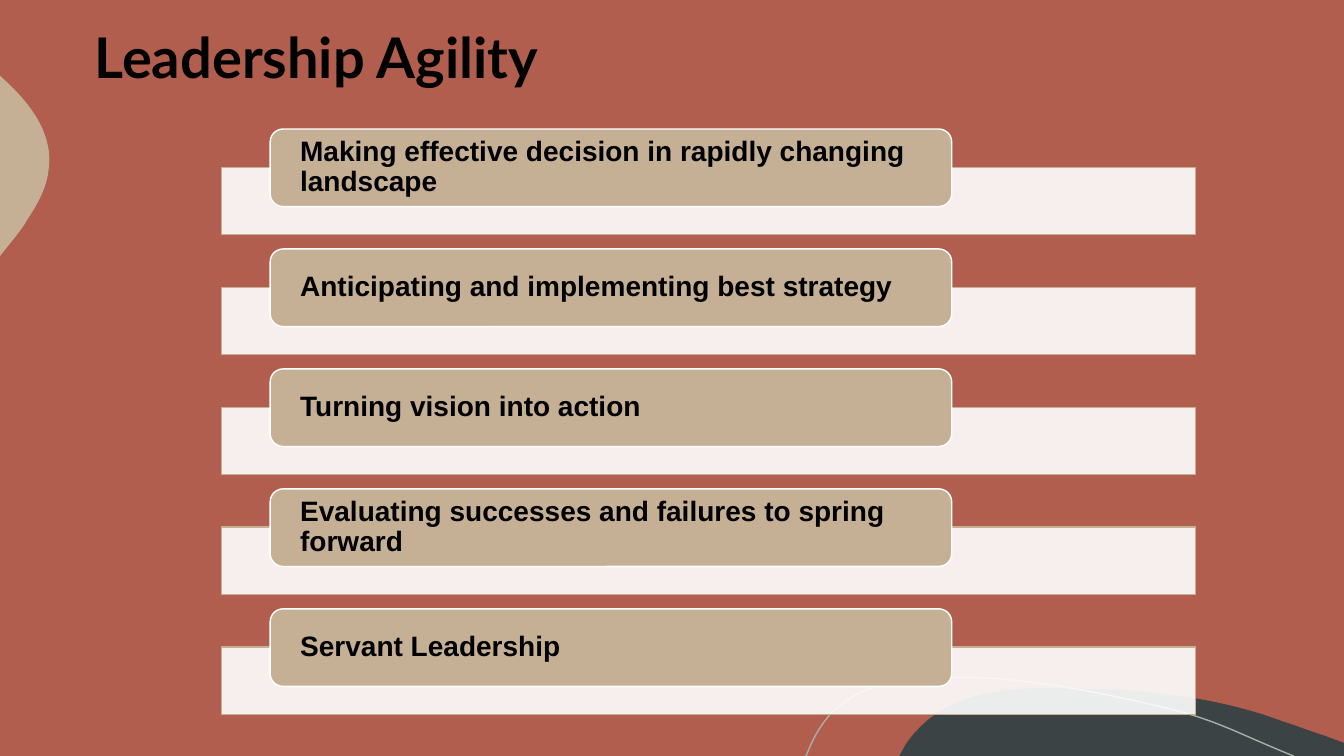
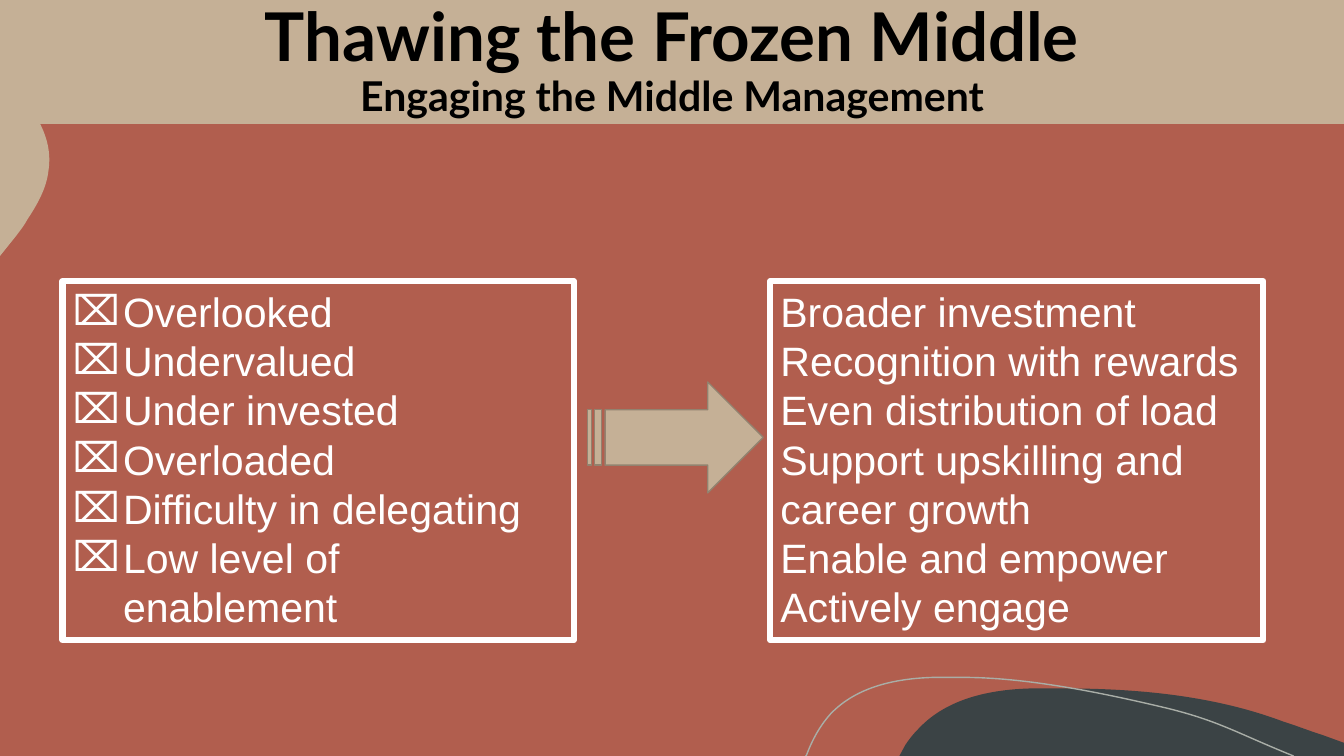
import pptx
import pptx.dml.color
import pptx.enum.shapes
import pptx.enum.text
import pptx.oxml.ns
import pptx.util
from lxml import etree

Inches = pptx.util.Inches
Pt = pptx.util.Pt
MSO_SHAPE = pptx.enum.shapes.MSO_SHAPE
PP_ALIGN = pptx.enum.text.PP_ALIGN
MSO_ANCHOR = pptx.enum.text.MSO_ANCHOR
MSO_AUTO_SIZE = pptx.enum.text.MSO_AUTO_SIZE

COLORS = {
    "clay": "B15E4E",
    "sand": "C5B096",
    "slate": "3B4345",
    "mist": "A9AEA7",
    "bronze": "92826F",
    "white": "FFFFFF",
    "black": "000000",
}

SLATE_HILL = [
    (10.54, 6.83),
    (11.28, 6.83, 12.04, 6.9, 12.73, 7.16),
    (12.86, 7.2, 12.98, 7.25, 13.11, 7.29),
    (13.33, 7.37), (13.33, 7.5), (8.92, 7.5), (8.98, 7.39),
    (9.02, 7.33, 9.06, 7.28, 9.11, 7.23),
    (9.39, 6.93, 9.82, 6.84, 10.23, 6.83),
    (10.33, 6.83, 10.43, 6.83, 10.54, 6.83),
]
SAND_BULGE = [
    (0, 0.75), (0.01, 0.76),
    (0.3, 1.02, 0.54, 1.33, 0.48, 1.7),
    (0.46, 1.87, 0.37, 2.03, 0.27, 2.18),
    (0.24, 2.24, 0.17, 2.33, 0.08, 2.44),
    (0, 2.54),
]
MIST_WAVE = [
    (7.99, 7.5), (8, 7.49),
    (8.06, 7.33, 8.14, 7.19, 8.24, 7.08),
    (8.5, 6.81, 8.89, 6.73, 9.26, 6.72),
    (9.55, 6.72),
    (10.22, 6.72, 11, 6.89, 11.55, 7.02),
    (12.09, 7.15, 12.26, 7.27, 12.83, 7.5),
]

AGILITY_SKILLS = [
    "Making effective decision in rapidly changing landscape",
    "Anticipating and implementing best strategy",
    "Turning vision into action",
    "Evaluating successes and failures to spring forward",
    "Servant Leadership",
]
PROBLEMS = [
    "Overlooked",
    "Undervalued",
    "Under invested",
    "Overloaded",
    "Difficulty in delegating",
    "Low level of enablement",
]
REMEDIES = [
    "Broader investment",
    "Recognition with rewards",
    "Even distribution of load",
    "Support upskilling and career growth",
    "Enable and empower",
    "Actively engage",
]


def rgb(name):
    """Return the named colour."""
    return pptx.dml.color.RGBColor.from_string(COLORS[name])


def place(s, left, top, width, height):
    """Move and size a shape, in inches."""
    s.left, s.top = Inches(left), Inches(top)
    s.width, s.height = Inches(width), Inches(height)


def paint(s, fill=None, line=None, weight=1):
    """Set the fill and outline of a shape."""
    if fill:
        s.fill.solid()
        s.fill.fore_color.rgb = rgb(fill)
    else:
        s.fill.background()
    if line:
        s.line.color.rgb = rgb(line)
        s.line.width = Pt(weight)
    else:
        s.line.fill.background()


def style_run(r, size, font, color, bold=False):
    """Set the font of a run."""
    r.font.size = Pt(size)
    r.font.name = font
    r.font.bold = bold
    r.font.color.rgb = rgb(color)


def add_child(parent, tag, **attributes):
    """Append a drawing element with attributes."""
    return etree.SubElement(parent, pptx.oxml.ns.qn(tag), attributes)


def bend(s, segments):
    """Merge the three lines of each curved segment into a Bezier curve."""
    lines = iter(s.element.spPr.xpath(".//a:lnTo"))
    for segment in segments[1:]:
        group = [next(lines) for _ in range(len(segment) // 2)]
        if len(group) == 3:
            curve = etree.Element(pptx.oxml.ns.qn("a:cubicBezTo"))
            group[0].addprevious(curve)
            for line in group:
                curve.append(line[0])
                line.getparent().remove(line)


def add_outline(slide, segments, fill=None, line=None):
    """Add a curved freeform, closed when it has a fill."""
    points = [(Inches(x), Inches(y)) for segment in segments
              for x, y in zip(segment[::2], segment[1::2])]
    builder = slide.shapes.build_freeform(*points[0])
    builder.add_line_segments(points[1:], close=fill is not None)
    s = builder.convert_to_shape()
    bend(s, segments)
    s.shadow.inherit = False
    paint(s, fill, line)
    return s


def decorate_master(prs, slide):
    """Give the master its background and curved corners."""
    master = prs.slide_master
    master.background.fill.solid()
    master.background.fill.fore_color.rgb = rgb("clay")
    outlines = [
        add_outline(slide, SLATE_HILL, fill="slate"),
        add_outline(slide, SAND_BULGE, fill="sand"),
        add_outline(slide, MIST_WAVE, line="mist"),
    ]
    for i, s in enumerate(outlines):
        s.element.nvSpPr.cNvPr.id = 20 + i
        master.shapes.element.insert(2 + i, s.element)


def add_shape(slide, kind, box, fill, line):
    """Add a flat preset shape."""
    s = slide.shapes.add_shape(kind, *map(Inches, box))
    s.shadow.inherit = False
    paint(s, fill, line)
    return s


def set_title(slide, lines, sizes, top, width):
    """Fill the title placeholder, one size for each line."""
    s = slide.shapes.title
    place(s, 0, top, width, 1.23)
    tf = s.text_frame
    tf.auto_size = MSO_AUTO_SIZE.NONE
    tf.vertical_anchor = MSO_ANCHOR.MIDDLE
    tf.margin_left = tf.margin_right = tf.margin_top = tf.margin_bottom = Inches(0.1)
    tf.text = "\v".join(lines)
    p = tf.paragraphs[0]
    p.alignment = PP_ALIGN.CENTER
    p.line_spacing = 0.9
    for r, size in zip(p.runs, sizes):
        style_run(r, size, "Lato", "black", bold=True)
    return s


def add_skill(slide, text, top):
    """Add a rounded label over a pale bar."""
    bar = add_shape(slide, MSO_SHAPE.RECTANGLE, (2.2, top + 0.38, 9.66, 0.67), "white", "sand")
    color = bar.element.spPr.xpath("./a:solidFill/a:srgbClr")[0]
    add_child(color, "a:alpha", val="90000")
    label = add_shape(slide, MSO_SHAPE.ROUNDED_RECTANGLE, (2.68, top, 6.76, 0.77), "sand", "white")
    tf = label.text_frame
    tf.word_wrap = True
    tf.vertical_anchor = MSO_ANCHOR.MIDDLE
    tf.margin_left = tf.margin_right = Inches(0.26)
    tf.margin_top = tf.margin_bottom = 0
    tf.text = text
    p = tf.paragraphs[0]
    p.alignment = PP_ALIGN.LEFT
    p.line_spacing = 0.9
    style_run(p.runs[0], 20, "Arial", "black", bold=True)


def fill_list(s, items, left, width, bullet=None):
    """Format a body placeholder as a framed list."""
    place(s, left, 2.79, width, 3.56)
    paint(s, line="white", weight=4.5)
    tf = s.text_frame
    tf.auto_size = MSO_AUTO_SIZE.NONE
    tf.vertical_anchor = MSO_ANCHOR.TOP
    tf.text = "\n".join(items)
    indent = Inches(0.5) if bullet else 0
    for p in tf.paragraphs:
        p.space_before = Pt(0)
        p.line_spacing = 1.0
        style_run(p.runs[0], 29.3, "Arial", "white")
        pPr = p._p.get_or_add_pPr()
        pPr.set("marL", str(indent))
        pPr.set("indent", str(-indent))
        if bullet:
            add_child(pPr, "a:buFont", typeface="Arial")
            add_child(pPr, "a:buChar", char=bullet)
        else:
            add_child(pPr, "a:buNone")


def build_agility(slide):
    """Build the slide of leadership skills."""
    set_title(slide, ["Leadership Agility"], [40], -0.02, 6.27)
    for i, text in enumerate(AGILITY_SKILLS):
        add_skill(slide, text, 1.28 + 1.19 * i)


def build_middle(slide):
    """Build the slide of problems and remedies."""
    title = set_title(slide, ["Thawing the Frozen Middle", "Engaging the Middle Management"],
                      [48, 29.3], 0, 13.33)
    paint(title, "sand")
    fill_list(slide.placeholders[1], PROBLEMS, 0.62, 5.07, bullet="⌧")
    fill_list(slide.placeholders[2], REMEDIES, 7.64, 4.89)
    add_shape(slide, MSO_SHAPE.STRIPED_RIGHT_ARROW, (5.83, 3.79, 1.74, 1.1), "sand", "bronze")


def main():
    """Build and save the presentation."""
    prs = pptx.Presentation()
    prs.slide_width, prs.slide_height = Inches(13.33), Inches(7.5)
    agility = prs.slides.add_slide(prs.slide_layouts.get_by_name("Title Only"))
    decorate_master(prs, agility)
    build_agility(agility)
    build_middle(prs.slides.add_slide(prs.slide_layouts.get_by_name("Two Content")))
    prs.save("out.pptx")


if __name__ == "__main__":
    main()
